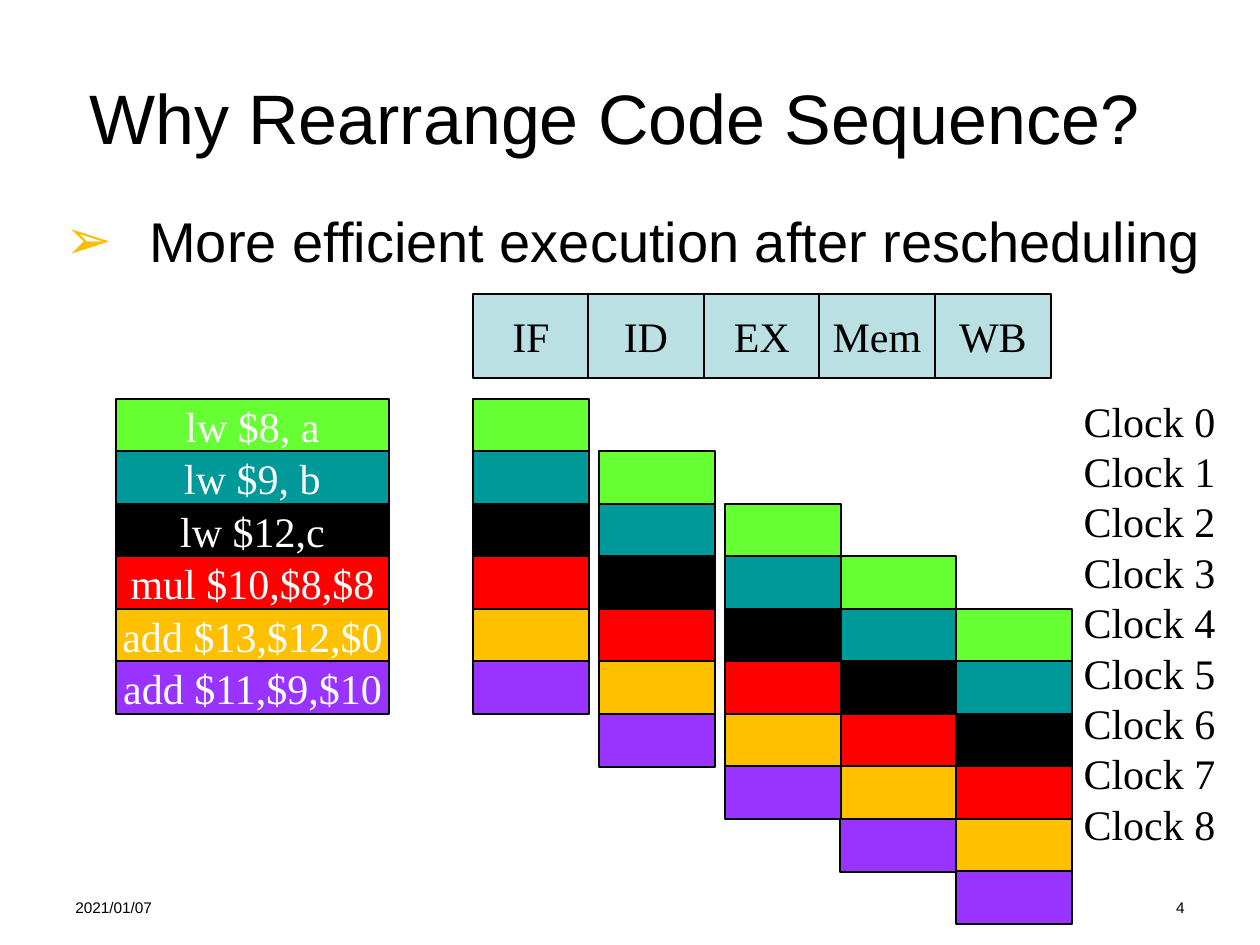
from lxml import etree
from pptx import Presentation
from pptx.dml.color import RGBColor
from pptx.enum.shapes import MSO_SHAPE
from pptx.enum.text import MSO_ANCHOR, PP_ALIGN
from pptx.oxml.ns import qn
from pptx.util import Emu, Pt

PIXEL = 914400 // 126
COLORS = {
    "black": "000000", "white": "FFFFFF", "bullet": "FFBC01", "stage": "BBE0E3",
    "green": "66FF33", "teal": "009999", "red": "FF0000",
    "amber": "FFC000", "purple": "9933FF",
}
STAGES = ["IF", "ID", "EX", "Mem", "WB"]
STAGE_LEFTS = [473, 599, 725, 840, 956]
INSTRUCTIONS = [
    ("lw $8, a", "green"),
    ("lw $9, b", "teal"),
    ("lw $12,c", "black"),
    ("mul $10,$8,$8", "red"),
    ("add $13,$12,$0", "amber"),
    ("add $11,$9,$10", "purple"),
]
STAGE_WIDTH = 116
FIRST_ROW = 399

presentation = Presentation()
presentation.slide_width = Emu(1260 * PIXEL)
presentation.slide_height = Emu(945 * PIXEL)
slide = presentation.slides.add_slide(presentation.slide_layouts[6])


def add_text(box, text, size, font="Arial", color="black",
             align=PP_ALIGN.LEFT, anchor=MSO_ANCHOR.TOP, wrap=True):
    """Put formatted text into a shape or text box and return its frame."""
    frame = box.text_frame
    frame.text = text
    frame.word_wrap = wrap
    frame.vertical_anchor = anchor
    for paragraph in frame.paragraphs:
        paragraph.alignment = align
        for run in paragraph.runs:
            run.font.size = Pt(size)
            run.font.name = font
            run.font.color.rgb = RGBColor.from_string(COLORS[color])
    return frame


def add_cell(left, top, width, height, fill, text="", color="black"):
    """Draw an outlined rectangle, with a centred label if one is given."""
    cell = slide.shapes.add_shape(
        MSO_SHAPE.RECTANGLE, *(Emu(value * PIXEL) for value in (left, top, width, height)))
    cell.shadow.inherit = False
    cell.fill.solid()
    cell.fill.fore_color.rgb = RGBColor.from_string(COLORS[fill])
    cell.line.color.rgb = RGBColor.from_string(COLORS["black"])
    cell.line.width = Pt(1)
    if text:
        add_text(cell, text, 24, "Times New Roman", color,
                 PP_ALIGN.CENTER, MSO_ANCHOR.MIDDLE, wrap=False)


clocks = "\n".join(f"Clock {number}" for number in range(9))
centered = {"align": PP_ALIGN.CENTER}
text_boxes = [
    ((63, 892, 294, 34), "2021/01/07", 8.8, {}),
    ((903, 892, 294, 34), "4", 8.8, {"align": PP_ALIGN.RIGHT}),
    ((63, 32, 1102, 168), "Why Rearrange Code Sequence?", 40,
     {"anchor": MSO_ANCHOR.MIDDLE, **centered}),
    ((1071, 389, 157, 466), clocks, 24, {"font": "Times New Roman", **centered}),
]
for bounds, text, size, options in text_boxes:
    box = slide.shapes.add_textbox(*(Emu(value * PIXEL) for value in bounds))
    add_text(box, text, size, **options)

# Bulleted statement
body = slide.shapes.add_textbox(*(Emu(value * PIXEL) for value in (53, 200, 1165, 682)))
statement = add_text(body, "More efficient execution after rescheduling", 32).paragraphs[0]
statement.space_before = Pt(8)
properties = statement._p.get_or_add_pPr()
properties.set("marL", str(84 * PIXEL))
properties.set("indent", str(-84 * PIXEL))
bullet_color = etree.SubElement(properties, qn("a:buClr"))
etree.SubElement(bullet_color, qn("a:srgbClr"), val=COLORS["bullet"])
etree.SubElement(properties, qn("a:buFont"), typeface="Arial")
etree.SubElement(properties, qn("a:buChar"), char="➢")

# Stage headings
for index, stage in enumerate(STAGES):
    add_cell(473 + index * 231 // 2, 294, STAGE_WIDTH, 84, "stage", stage)

# Each instruction enters one stage per clock, one row further down
row_tops = [FIRST_ROW + row * 105 // 2 for row in range(len(INSTRUCTIONS) + len(STAGES))]
for row, (instruction, fill) in enumerate(INSTRUCTIONS):
    add_cell(116, row_tops[row], 273, 53, fill, instruction, "white")
    for step, left in enumerate(STAGE_LEFTS):
        add_cell(left, row_tops[row + step], STAGE_WIDTH, 53, fill)

presentation.save("out.pptx")
